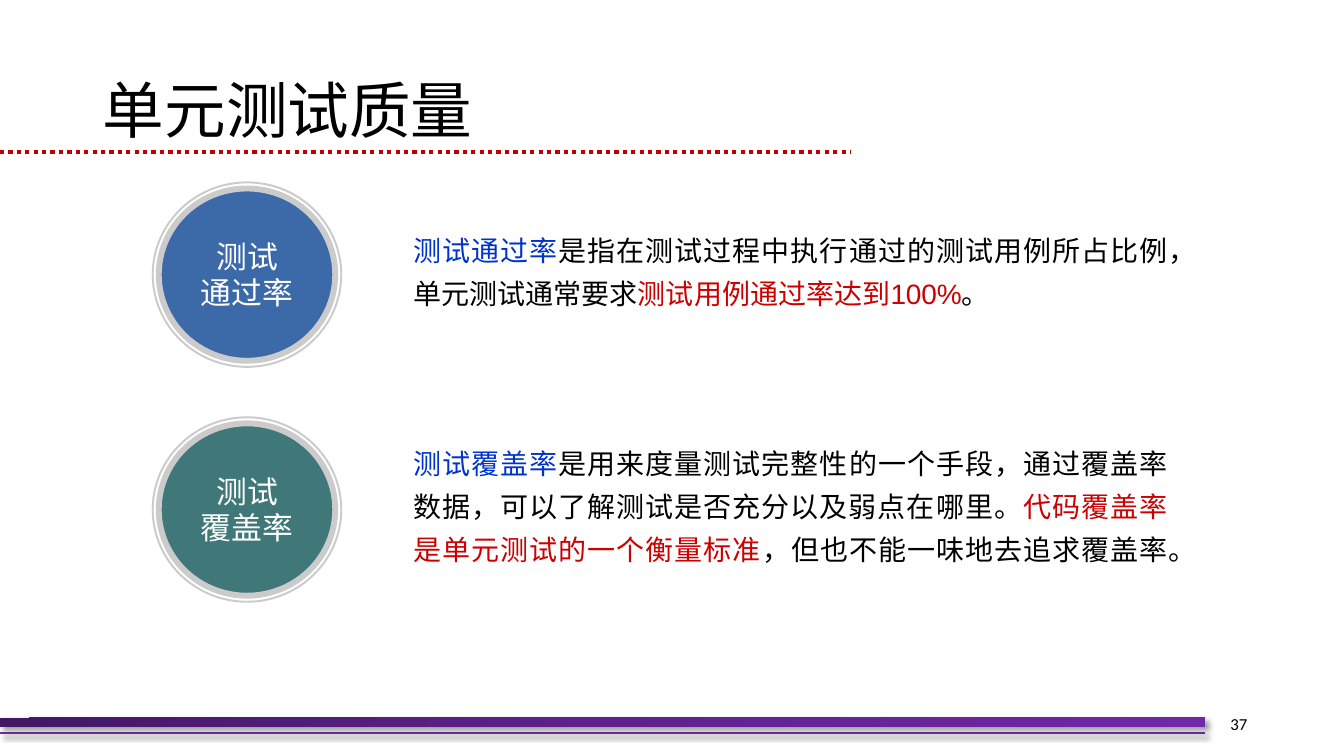
from copy import deepcopy
from dataclasses import dataclass

from lxml.etree import SubElement
from pptx import Presentation
from pptx.dml.color import RGBColor
from pptx.enum.dml import MSO_LINE_DASH_STYLE as Dash
from pptx.enum.shapes import MSO_CONNECTOR as Connector, MSO_SHAPE as Preset
from pptx.enum.text import MSO_ANCHOR as Anchor, PP_ALIGN as Align
from pptx.oxml.ns import qn
from pptx.util import Inches, Pt

WIDTH, HEIGHT = Inches(13.33), Inches(7.5)


@dataclass(frozen=True)
class Theme:
    black: str = "000000"
    white: str = "FFFFFF"
    term: str = "0033CC"
    stress: str = "CC0000"
    ring: str = "CBCBCB"
    pass_rate: str = "3C6AA8"
    coverage: str = "407879"
    rule: str = "C00000"
    footer: str = "7030A0"
    bar: tuple = ("431764", "5F218E", "7128A8")
    font: str = "Noto Sans CJK SC"
    latin_font: str = "Arial"
    number_font: str = "Calibri"
    title_size: int = 44
    label_size: int = 22
    body_size: int = 20
    number_size: int = 12


THEME = Theme()


def rgb(color):
    return RGBColor.from_string(color)


def area(left, top, width, height):
    """Turn percentages of the slide's size into lengths."""
    return (int(WIDTH * left / 100), int(HEIGHT * top / 100),
            int(WIDTH * width / 100), int(HEIGHT * height / 100))


def centred(x, y, width, height):
    return area(x - width / 2, y - height / 2, width, height)


def set_shadow(shape, visible):
    """Give the shape an empty effect list, or a soft shadow to the lower right."""
    effects = SubElement(shape._element.spPr, qn("a:effectLst"))
    if visible:
        shadow = SubElement(effects, qn("a:outerShdw"), blurRad=str(Pt(4)),
                            dist=str(Pt(3)), dir="2700000", algn="tl", rotWithShape="0")
        color = SubElement(shadow, qn("a:srgbClr"), val=THEME.black)
        SubElement(color, qn("a:alpha"), val="40000")


def write(frame, *lines, size, color=THEME.black, font=THEME.font, align=Align.LEFT,
          anchor=Anchor.TOP, spacing=1.0, insets=(0, 0.01, 0, 0)):
    """Fill one paragraph; a line is a string or a list of (text, format) runs."""
    frame.word_wrap = True
    frame.vertical_anchor = anchor
    frame.margin_left, frame.margin_top, frame.margin_right, frame.margin_bottom = map(Inches, insets)
    paragraph = frame.paragraphs[0]
    paragraph.alignment = align
    paragraph.line_spacing = spacing
    for index, line in enumerate(lines):
        if index:
            paragraph.add_line_break()
        for text, style in [(line, {})] if isinstance(line, str) else line:
            run = paragraph.add_run()
            run.text = text
            run.font.size = Pt(size)
            run.font.name = style.get("font", font)
            run.font.color.rgb = rgb(style.get("color", color))
            properties = run.font._element
            SubElement(properties, qn("a:ea"), typeface=THEME.font)
            if "tracking" in style:
                properties.set("spc", str(int(style["tracking"] * 100)))


def add_text(slide, box, *lines, **text_format):
    write(slide.shapes.add_textbox(*box).text_frame, *lines, **text_format)


def add_rule(slide, top, width, color, weight, dash=None, shadow=False):
    """Draw a horizontal line from the slide's left edge."""
    left, y, length, _ = area(0, top, width, 0)
    rule = slide.shapes.add_connector(Connector.STRAIGHT, left, y, length, y)
    rule.line.color.rgb = rgb(color)
    rule.line.width = Pt(weight)
    if dash:
        rule.line.dash_style = dash
    set_shadow(rule, shadow)


def add_footer_bar(slide):
    bar = slide.shapes.add_shape(Preset.RECTANGLE, *area(0, 94.93, 89.65, 1.2))
    bar.line.fill.background()
    bar.fill.gradient()
    bar.fill.gradient_angle = 315
    stop_list = bar._element.spPr.find(qn("a:gradFill")).find(qn("a:gsLst"))
    stop_list.insert(1, deepcopy(stop_list[0]))
    for stop, position, color in zip(bar.fill.gradient_stops, (0, 0.5, 1), THEME.bar):
        stop.position = position
        stop.color.rgb = rgb(color)
    set_shadow(bar, True)


def add_oval(slide, box, fill=None, weight=None):
    oval = slide.shapes.add_shape(Preset.OVAL, *box)
    oval.shadow.inherit = False
    if fill:
        oval.fill.solid()
        oval.fill.fore_color.rgb = rgb(fill)
        oval.line.fill.background()
    else:
        oval.fill.background()
        oval.line.color.rgb = rgb(THEME.ring)
        oval.line.width = Pt(weight)


def add_badge(slide, y, color, *label):
    """Draw a disc with two rings and a label, centred on height y."""
    x = 18.38
    add_oval(slide, centred(x, y, 13.43, 23.33), fill=color)
    add_oval(slide, centred(x, y, 14.03, 24.4), weight=1.4)
    add_oval(slide, centred(x, y, 13.13, 22.8), weight=4.2)
    add_text(slide, centred(x, y - 0.13, 7.05, 10.13), *label, size=THEME.label_size,
             color=THEME.white, align=Align.CENTER, spacing=Pt(26), insets=(0, 0.03, 0, 0))


def add_explanation(slide, top, height, *lines):
    add_text(slide, area(30.76, top, 58.6, height), *lines, size=THEME.body_size, spacing=1.29)


def main():
    presentation = Presentation()
    presentation.slide_width, presentation.slide_height = WIDTH, HEIGHT
    slide = presentation.slides.add_slide(presentation.slide_layouts[5])

    title = slide.shapes.title
    title.left, title.top, title.width, title.height = area(6.9, 5.33, 86.27, 19.33)
    write(title.text_frame, "单元测试质量", size=THEME.title_size, anchor=Anchor.MIDDLE,
          spacing=0.9, insets=(0.1, 0.05, 0.1, 0.05))

    add_rule(slide, 96.93, 89.65, THEME.footer, 1.5, shadow=True)
    add_footer_bar(slide)
    add_rule(slide, 20.13, 63.32, THEME.rule, 3, dash=Dash.ROUND_DOT)

    wide = {"tracking": 0.7}
    term = {"color": THEME.term, **wide}
    stress = {"color": THEME.stress}
    add_badge(slide, 36.33, THEME.pass_rate, "测试", "通过率")
    add_explanation(
        slide, 29.47, 11.87,
        [("测试通过率", term), ("是指在测试过程中执行通过的测试用例所占比例，", wide)],
        [("单元测试通常要求", {}), ("测试用例通过率达到", stress),
         ("100%", {"font": THEME.latin_font, "tracking": -0.1, **stress}), ("。", {})])

    add_badge(slide, 67.4, THEME.coverage, "测试", "覆盖率")
    add_explanation(
        slide, 57.6, 17.6,
        [("测试覆盖率", term), ("是用来度量测试完整性的一个手段，通过覆盖率", wide)],
        [("数据，可以了解测试是否充分以及弱点在哪里。", wide), ("代码覆盖率", {**stress, **wide})],
        [("是单元测试的一个衡量标准", {**stress, **wide}),
         ("，但也不能一味地去追求覆盖率。", wide)])

    add_text(slide, area(85.37, 93.07, 8.18, 5.33), "37", size=THEME.number_size,
             font=THEME.number_font, align=Align.RIGHT, anchor=Anchor.MIDDLE,
             insets=(0.1, 0.05, 0.1, 0.05))
    presentation.save("out.pptx")


if __name__ == "__main__":
    main()
